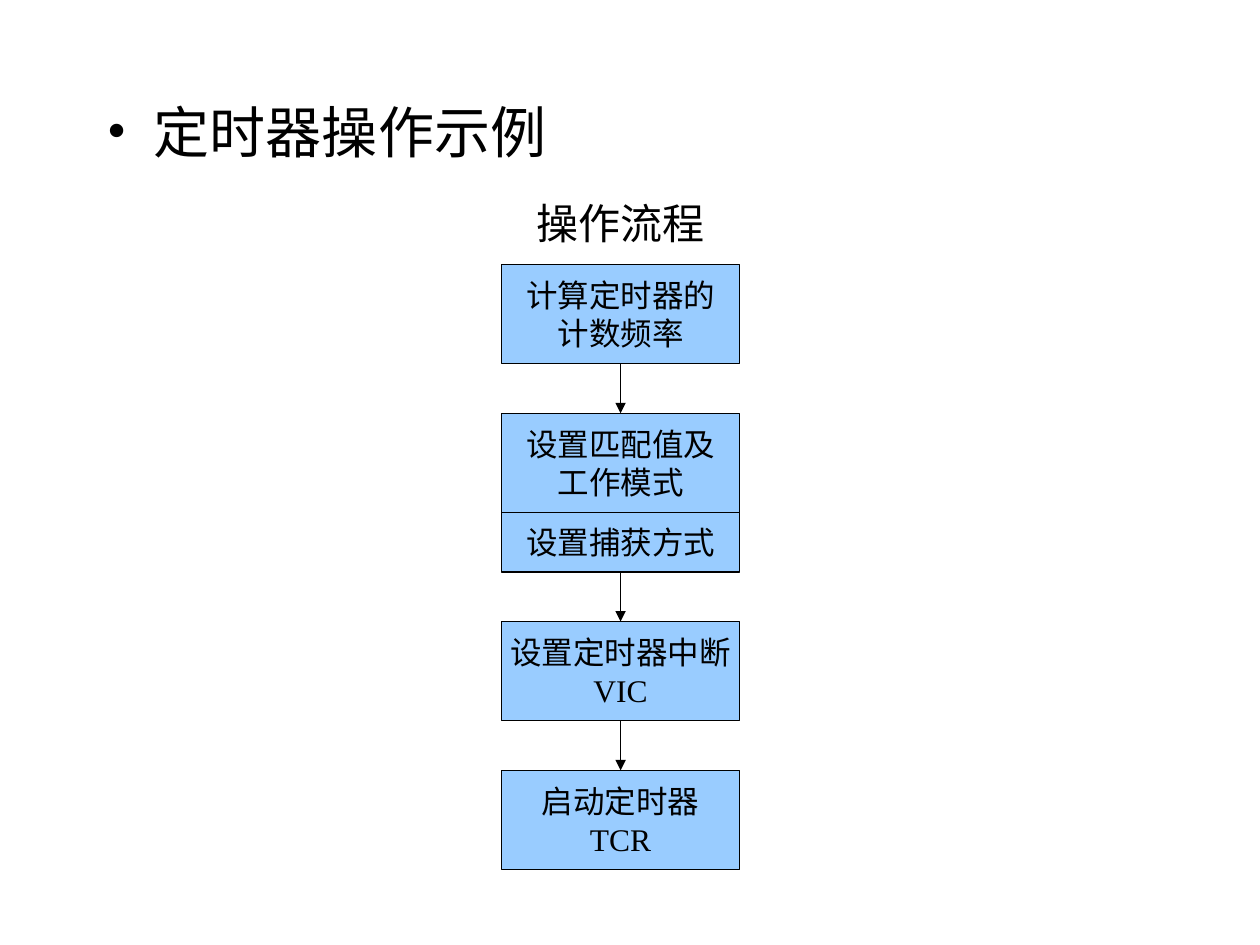
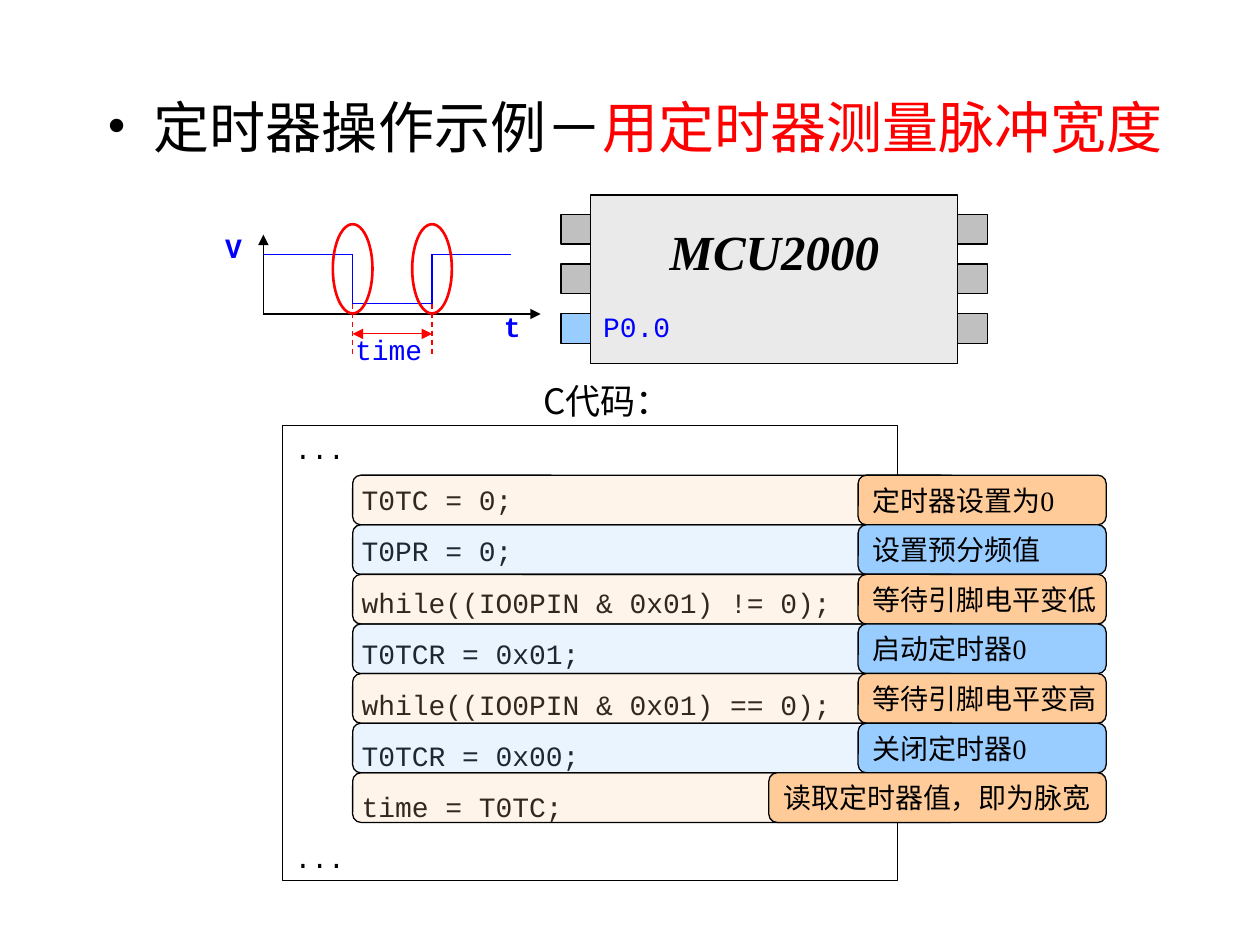
from dataclasses import dataclass
from itertools import cycle, pairwise

from lxml.etree import SubElement
from pptx import Presentation
from pptx.dml.color import RGBColor
from pptx.enum.dml import MSO_LINE_DASH_STYLE as DASH
from pptx.enum.lang import MSO_LANGUAGE_ID as LANG
from pptx.enum.shapes import MSO_CONNECTOR, MSO_SHAPE as PRESET
from pptx.enum.text import MSO_ANCHOR as ANCHOR, MSO_AUTO_SIZE, PP_ALIGN as ALIGN
from pptx.oxml.ns import qn
from pptx.util import Cm, Pt


@dataclass(frozen=True)
class Theme:
    black: RGBColor = RGBColor(0, 0, 0)
    white: RGBColor = RGBColor(255, 255, 255)
    red: RGBColor = RGBColor(255, 0, 0)
    blue: RGBColor = RGBColor(0, 0, 255)
    sky: RGBColor = RGBColor(0x99, 0xCC, 0xFF)
    peach: RGBColor = RGBColor(0xFF, 0xCC, 0x99)
    pin: RGBColor = RGBColor(0xC0, 0xC0, 0xC0)
    chip: RGBColor = RGBColor(0xEA, 0xEA, 0xEA)
    serif: str = "Times New Roman"
    mono: str = "Courier New"
    cjk: str = "Noto Sans CJK JP"
    title: Pt = Pt(32)
    model: Pt = Pt(28)
    caption: Pt = Pt(24)
    subcaption: Pt = Pt(20)
    step: Pt = Pt(18)
    small: Pt = Pt(16)
    thin: Pt = Pt(0.75)
    thick: Pt = Pt(1.5)


theme = Theme()
step_font = dict(name=theme.serif, size=theme.step, color=theme.black)
label_font = dict(name=theme.serif, size=theme.small, color=theme.black)
code_font = dict(name=theme.mono, size=theme.small, color=theme.black)
signal_font = dict(code_font, color=theme.blue)


def add_box(slide, place, preset=None, fill=None, line=theme.black, weight=theme.thin,
            lines=(), font=step_font, align=ALIGN.LEFT, gap=0, **frame_format):
    """Add a preset shape, or a plain text box when there is no preset."""
    place = [Cm(length) for length in place]
    if preset is None:
        box = slide.shapes.add_textbox(*place)
        box.text_frame.word_wrap = True
    else:
        box = slide.shapes.add_shape(preset, *place)
        box.shadow.inherit = False
        box.line.color.rgb, box.line.width = line, weight
        if fill is None:
            box.fill.background()
        else:
            box.fill.solid()
            box.fill.fore_color.rgb = fill
        box.text_frame.word_wrap = False
    frame = box.text_frame
    for key, value in frame_format.items():
        setattr(frame, key, value)
    for number, text in enumerate(lines):
        paragraph = frame.add_paragraph() if number else frame.paragraphs[0]
        paragraph.alignment = align
        if number and gap:
            paragraph.space_before = Pt(gap)
        run = paragraph.add_run()
        run.text = text
        for key, value in font.items():
            if key == "color":
                run.font.color.rgb = value
            else:
                setattr(run.font, key, value)
    return box


def add_line(slide, start, end, color=theme.black, dash=None, arrows=()):
    """Join two points; arrows names the ends that carry a triangle."""
    points = [Cm(length) for length in (*start, *end)]
    link = slide.shapes.add_connector(MSO_CONNECTOR.STRAIGHT, *points)
    link.line.color.rgb, link.line.width = color, theme.thin
    if dash:
        link.line.dash_style = dash
    for arrow in arrows:
        SubElement(link.line._get_or_add_ln(), qn(f"a:{arrow}"), type="triangle")
    SubElement(link._element.spPr, qn("a:effectLst"))


prs = Presentation()
prs.slide_width, prs.slide_height = Cm(25.4), Cm(19.05)

# Bulleted titles
titles = [
    ((1.9, 1.83, 20.6, 1.7), [("定时器操作示例", theme.black)]),
    ((1.9, 1.73, 22.4, 1.7), [("定时器操作示例－", theme.black),
                              ("用定时器测量脉冲宽度", theme.red)]),
]
title_frame = dict(vertical_anchor=ANCHOR.TOP, auto_size=MSO_AUTO_SIZE.NONE, word_wrap=True)
for place, runs in titles:
    heading = prs.slides.add_slide(prs.slide_layouts[5]).shapes.title
    heading.left, heading.top, heading.width, heading.height = map(Cm, place)
    for key, value in title_frame.items():
        setattr(heading.text_frame, key, value)
    paragraph = heading.text_frame.paragraphs[0]
    paragraph.alignment = ALIGN.LEFT
    props = paragraph._p.get_or_add_pPr()
    props.set("marL", str(Cm(0.95)))
    props.set("indent", str(-Cm(0.95)))
    SubElement(SubElement(props, qn("a:buClr")), qn("a:srgbClr"), val=str(theme.black))
    SubElement(props, qn("a:buFont"), typeface=theme.serif)
    SubElement(props, qn("a:buChar"), char="•")
    for text, color in runs:
        run = paragraph.add_run()
        run.text = text
        run.font.name, run.font.size = theme.serif, theme.title
        run.font.color.rgb = color
flow, pulse = prs.slides

# Slide 1: operation flow, each step with the gap above it
add_box(flow, (10.5, 3.86, 4, 1.27), lines=["操作流程"], align=ALIGN.CENTER,
        font=dict(step_font, size=theme.caption))
steps = [
    (0, 2, ["计算定时器的", "计数频率"]),
    (1, 2, ["设置匹配值及", "工作模式"]),
    (0, 1.2, ["设置捕获方式"]),
    (1, 2, ["设置定时器中断", "VIC"]),
    (1, 2, ["启动定时器", "TCR"]),
]
step_left, step_width, bottom = 10.11, 4.8, 5.33
middle = step_left + step_width / 2
for gap, height, lines in steps:
    top = bottom + gap
    add_box(flow, (step_left, top, step_width, height), PRESET.RECTANGLE, theme.sky,
            lines=lines, align=ALIGN.CENTER, vertical_anchor=ANCHOR.MIDDLE)
    if gap:
        add_line(flow, (middle, bottom), (middle, top), arrows=["tailEnd"])
    bottom = top + height

# Slide 2: chip with three pins on each side
chip_left, chip_width, pin_size = 11.91, 7.4, 0.6
add_box(pulse, (chip_left, 3.93, chip_width, 3.4), PRESET.RECTANGLE, theme.chip,
        lines=["MCU2000"], align=ALIGN.CENTER, vertical_anchor=ANCHOR.MIDDLE,
        font=dict(step_font, size=theme.model, bold=True, italic=True),
        margin_bottom=Cm(1.27))
for pin_left in (chip_left - pin_size, chip_left + chip_width):
    for row in range(3):
        is_input = pin_left < chip_left and row == 2
        add_box(pulse, (pin_left, 4.32 + row, pin_size, pin_size), PRESET.RECTANGLE,
                theme.sky if is_input else theme.pin)

# Code listing
program = [
    ("T0TC = 0;", "定时器设置为0"),
    ("T0PR = 0;", "设置预分频值"),
    ("while((IO0PIN & 0x01) != 0);", "等待引脚电平变低"),
    ("T0TCR = 0x01;", "启动定时器0"),
    ("while((IO0PIN & 0x01) == 0);", "等待引脚电平变高"),
    ("T0TCR = 0x00;", "关闭定时器0"),
    ("time = T0TC;", "读取定时器值，即为脉宽"),
]
listing = ["...", *("    " + code for code, _ in program), "..."]
add_box(pulse, (5.69, 8.58, 12.4, 9.17), PRESET.RECTANGLE, theme.white, lines=listing,
        font=code_font, gap=10, vertical_anchor=ANCHOR.TOP, word_wrap=True)
add_box(pulse, (9.7, 7.52, 5.08, 1.12), lines=["C代码："], align=ALIGN.CENTER,
        font=dict(name=theme.cjk, size=theme.subcaption, color=theme.black))

# Translucent strip and explanation for each statement
label_right = 22.3
for row, ((_, meaning), color) in enumerate(zip(program, cycle([theme.peach, theme.sky]))):
    top = 9.58 + row
    strip = add_box(pulse, (7.11, top, 12.22, 1), PRESET.ROUNDED_RECTANGLE, color)
    tint = strip._element.spPr.find(qn("a:solidFill")).find(qn("a:srgbClr"))
    SubElement(tint, qn("a:alpha"), val="20000")
    width = 6.8 if len(meaning) > 8 else 5
    add_box(pulse, (label_right - width, top, width, 1), PRESET.ROUNDED_RECTANGLE, color,
            lines=[meaning], font=label_font, vertical_anchor=ANCHOR.MIDDLE)

# Pulse waveform and its axes
fall, rise, high, low = 7.11, 8.71, 5.13, 6.12
origin = (5.31, 6.33)
for axis_end in ((5.31, 4.73), (10.9, 6.33)):
    add_line(pulse, origin, axis_end, arrows=["tailEnd"])
wave = [(5.31, high), (fall, high), (fall, low), (rise, low), (rise, high), (10.31, high)]
for start, end in pairwise(wave):
    add_line(pulse, start, end, theme.blue)

# Measured width between the two edges
for edge in (fall, rise):
    add_line(pulse, (edge, low), (edge, 7.13), theme.red, DASH.DASH)
    add_box(pulse, (edge - 0.4, 4.52, 0.8, 1.8), PRESET.OVAL,
            line=theme.red, weight=theme.thick)
add_line(pulse, (fall, 6.73), (rise, 6.73), theme.red, arrows=["headEnd", "tailEnd"])

# Signal names
for name, left, top, width, bold in [("P0.0", 11.91, 6.12, 2.18, False),
                                     ("time", 6.91, 6.58, 2.18, False),
                                     ("V", 4.29, 4.52, 1.19, True),
                                     ("t", 9.91, 6.12, 1.19, True)]:
    add_box(pulse, (left, top, width, 0.94), lines=[name], font=dict(signal_font, bold=bold))

# Chinese typeface for every run
for slide in prs.slides:
    for shape in slide.shapes:
        if shape.has_text_frame:
            for paragraph in shape.text_frame.paragraphs:
                for run in paragraph.runs:
                    run.font.language_id = LANG.SIMPLIFIED_CHINESE
                    SubElement(run._r.rPr, qn("a:ea"), typeface=theme.cjk)

prs.save("out.pptx")
